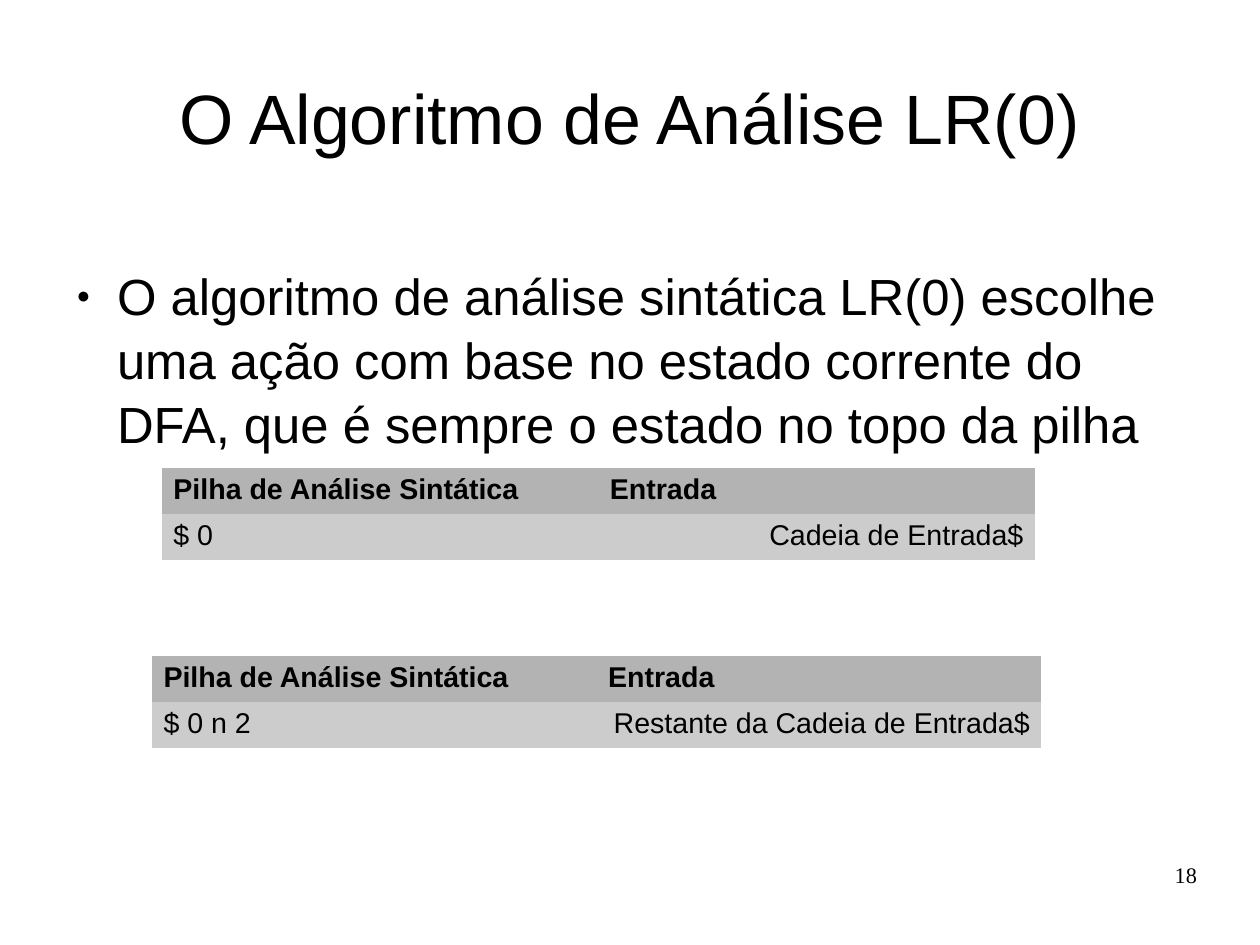
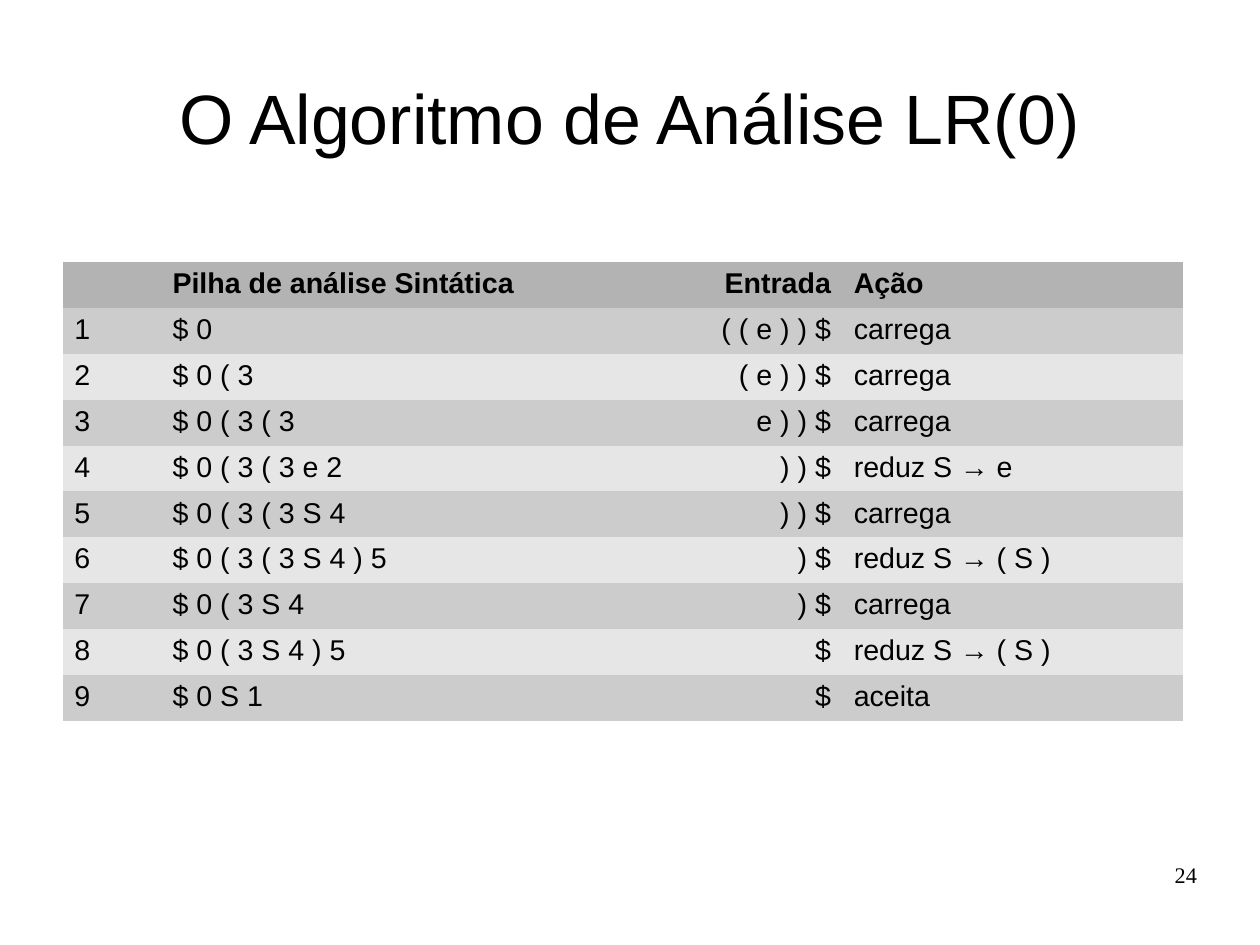
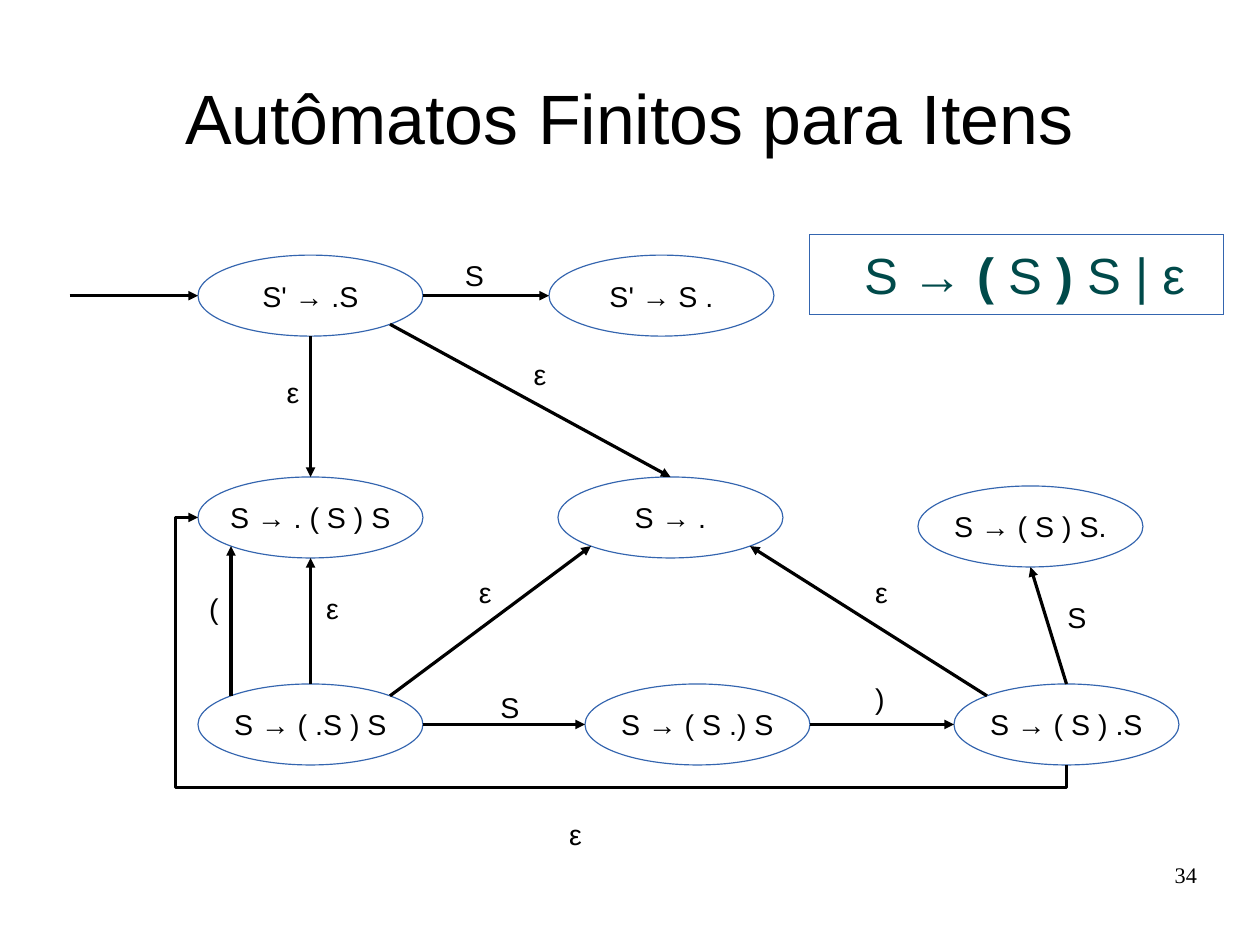
from math import cos, pi, sin

from lxml.etree import SubElement
from pptx import Presentation
from pptx.dml.color import RGBColor
from pptx.enum.shapes import MSO_CONNECTOR, MSO_SHAPE
from pptx.enum.text import MSO_ANCHOR, MSO_AUTO_SIZE, PP_ALIGN
from pptx.oxml.ns import qn
from pptx.util import Cm, Pt

BLACK = RGBColor(0x00, 0x00, 0x00)
WHITE = RGBColor(0xFF, 0xFF, 0xFF)
BLUE = RGBColor(0x34, 0x65, 0xAF)
TEAL = RGBColor(0x00, 0x4A, 0x4A)
HEADER_GREY = RGBColor(0xB3, 0xB3, 0xB3)
BAND_GREYS = (RGBColor(0xCC, 0xCC, 0xCC), RGBColor(0xE6, 0xE6, 0xE6))

PLAIN_TABLE_STYLE = "{2D5ABB26-0587-4C30-8999-92F81FD0307C}"
TITLE_AND_BODY, TITLE_ONLY = 1, 5
TOP, TOP_LEFT, LEFT, BOTTOM_LEFT, BOTTOM, BOTTOM_RIGHT, RIGHT, TOP_RIGHT = range(8)
STATE_WIDTH, STATE_HEIGHT = 5, 1.8
ELBOW_GAP = 0.5

LR_TITLE = "O Algoritmo de Análise LR(0)"
STACK_HEADER = ("Pilha de Análise Sintática", "Entrada")
STEPS = (
    ("", "Pilha de análise Sintática", "Entrada", "Ação"),
    ("1", "$ 0", "( ( e ) ) $", "carrega"),
    ("2", "$ 0 ( 3", "( e ) ) $", "carrega"),
    ("3", "$ 0 ( 3 ( 3", "e ) ) $", "carrega"),
    ("4", "$ 0 ( 3 ( 3 e 2", ") ) $", "reduz S → e"),
    ("5", "$ 0 ( 3 ( 3 S 4", ") ) $", "carrega"),
    ("6", "$ 0 ( 3 ( 3 S 4 ) 5", ") $", "reduz S → ( S )"),
    ("7", "$ 0 ( 3 S 4", ") $", "carrega"),
    ("8", "$ 0 ( 3 S 4 ) 5", "$", "reduz S → ( S )"),
    ("9", "$ 0 S 1", "$", "aceita"),
)

START, ACCEPT = "S' → .S", "S' → S ."
OPEN, EMPTY, DONE = "S → . ( S ) S", "S → .", "S → ( S ) S."
INSIDE, CLOSING, AFTER = "S → ( .S ) S", "S → ( S .) S", "S → ( S ) .S"
STATES = {
    START: (4.4, 5.67),
    ACCEPT: (12.2, 5.67),
    OPEN: (4.4, 10.6),
    EMPTY: (12.4, 10.6),
    DONE: (20.4, 10.8),
    INSIDE: (4.4, 15.2),
    CLOSING: (13, 15.2),
    AFTER: (21.2, 15.2),
}
TRANSITIONS = (
    (START, RIGHT, ACCEPT, LEFT),
    (START, BOTTOM, OPEN, TOP),
    (START, BOTTOM_RIGHT, EMPTY, TOP),
    (AFTER, TOP, DONE, BOTTOM),
    (AFTER, TOP_LEFT, EMPTY, BOTTOM_RIGHT),
    (INSIDE, TOP_RIGHT, EMPTY, BOTTOM_LEFT),
    (INSIDE, RIGHT, CLOSING, LEFT),
    (CLOSING, RIGHT, AFTER, LEFT),
    (INSIDE, TOP, OPEN, BOTTOM),
    (INSIDE, TOP_LEFT, OPEN, BOTTOM_LEFT),
)
LABELS = (
    ("S", 10.08, 5.61),
    ("ε", 6.12, 8.2),
    ("ε", 11.61, 7.8),
    ("ε", 19.2, 12.65),
    ("ε", 7, 13),
    ("ε", 10.39, 12.65),
    ("ε", 12.4, 18.03),
    ("S", 23.47, 13.2),
    ("S", 10.87, 15.2),
    ("(", 4.4, 13),
    (")", 19.2, 15),
)


def style(para, size, color=BLACK, name="Arial", bold=False):
    """Set the font shared by all runs of a paragraph."""
    para.font.size = Pt(size)
    para.font.name = name
    para.font.bold = bold
    para.font.color.rgb = color


def place(shape, left, top, width, height):
    """Move and size a placeholder, in centimetres, without insets."""
    shape.left, shape.top = Cm(left), Cm(top)
    shape.width, shape.height = Cm(width), Cm(height)
    frame = shape.text_frame
    frame.margin_left = frame.margin_right = frame.margin_top = frame.margin_bottom = 0
    frame.auto_size = MSO_AUTO_SIZE.NONE
    return frame


def add_text(page, text, left, top, width, height):
    """Add a text box and return its frame and paragraph."""
    frame = page.shapes.add_textbox(Cm(left), Cm(top), Cm(width), Cm(height)).text_frame
    frame.word_wrap = True
    frame.text = text
    return frame, frame.paragraphs[0]


def add_page(deck, layout, title, number):
    """Add a slide with its title and page number."""
    page = deck.slides.add_slide(deck.slide_layouts[layout])
    frame = place(page.shapes.title, 1.4, 0.84, 25.2, 3.5)
    frame.vertical_anchor = MSO_ANCHOR.MIDDLE
    frame.text = title
    para = frame.paragraphs[0]
    para.alignment = PP_ALIGN.CENTER
    style(para, 44)
    frame, para = add_text(page, number, 20.07, 19.13, 6.53, 1.45)
    frame.margin_right = frame.margin_top = 0
    para.alignment = PP_ALIGN.RIGHT
    style(para, 14, name="Times New Roman")
    return page


def format_body(para, color=BLACK, bullet=False):
    """Give a body paragraph its indent, bullet, spacing and font."""
    properties = para._p.get_or_add_pPr()
    properties.set("marL", str(Cm(1.2)))
    properties.set("indent", str(Cm(-0.9) if bullet else 0))
    if bullet:
        SubElement(properties, qn("a:buSzPct"), val="45000")
        SubElement(properties, qn("a:buFont"), typeface="Arial")
        SubElement(properties, qn("a:buChar"), char="●")
        para.line_spacing = 1.05
    else:
        SubElement(properties, qn("a:buNone"))
    para.space_before = Pt(0)
    para.space_after = Pt(14.2)
    style(para, 32, color)


def add_grid(page, rows, left, top, widths, row_height, right_cells):
    """Add a banded table; right_cells tells which cells align right."""
    shape = page.shapes.add_table(
        len(rows), len(widths), Cm(left), Cm(top), Cm(sum(widths)), Cm(row_height * len(rows))
    )
    table = shape.table
    table._tbl.tblPr.find(qn("a:tableStyleId")).text = PLAIN_TABLE_STYLE
    for column, width in zip(table.columns, widths):
        column.width = Cm(width)
    for row_index, row in enumerate(rows):
        table.rows[row_index].height = Cm(row_height)
        for column_index, text in enumerate(row):
            cell = table.cell(row_index, column_index)
            cell.fill.solid()
            cell.fill.fore_color.rgb = BAND_GREYS[(row_index - 1) % 2] if row_index else HEADER_GREY
            cell.text = text
            para = cell.text_frame.paragraphs[0]
            if right_cells(row_index, column_index):
                para.alignment = PP_ALIGN.RIGHT
            style(para, 18, bold=row_index == 0)


def add_state(page, text):
    """Add an automaton state as an ellipse."""
    left, top = STATES[text]
    state = page.shapes.add_shape(
        MSO_SHAPE.OVAL, Cm(left), Cm(top), Cm(STATE_WIDTH), Cm(STATE_HEIGHT)
    )
    state.shadow.inherit = False
    state.fill.solid()
    state.fill.fore_color.rgb = WHITE
    state.line.color.rgb = BLUE
    state.line.width = Pt(0)
    frame = state.text_frame
    frame.word_wrap = False
    frame.vertical_anchor = MSO_ANCHOR.MIDDLE
    frame.text = text
    para = frame.paragraphs[0]
    para.alignment = PP_ALIGN.CENTER
    style(para, 18)
    return state


def site_point(text, site):
    """Return where a connection site lies, counted anticlockwise from the top."""
    left, top = STATES[text]
    angle = site * pi / 4
    return (
        left + STATE_WIDTH / 2 * (1 - sin(angle)),
        top + STATE_HEIGHT / 2 * (1 - cos(angle)),
    )


def add_arrow(page, kind, start, end):
    """Add a hairline connector with an arrowhead at its end."""
    arrow = page.shapes.add_connector(kind, *(Cm(value) for value in (*start, *end)))
    arrow.line.color.rgb = BLACK
    arrow.line.width = Pt(0)
    properties = arrow.element.spPr
    SubElement(properties.find(qn("a:ln")), qn("a:tailEnd"), type="triangle")
    SubElement(properties, qn("a:effectLst"))
    return arrow


def glue(arrow, tag, state, site):
    """Attach one end of a connector to a state."""
    links = arrow.element.find(".//" + qn("p:cNvCxnSpPr"))
    SubElement(links, qn(tag), id=str(state.shape_id), idx=str(site))


def add_return_arrow(page, states):
    """Add the elbow arrow that runs below the states and back to the left."""
    right, low = site_point(AFTER, BOTTOM)
    left, high = site_point(OPEN, LEFT)
    span, rise = right - left, low - high
    center_x, center_y = (left + right) / 2, (low + high) / 2
    arrow = add_arrow(
        page,
        MSO_CONNECTOR.ELBOW,
        (center_x - rise / 2, center_y + span / 2),
        (center_x + rise / 2, center_y - span / 2),
    )
    properties = arrow.element.spPr
    properties.find(qn("a:xfrm")).set("rot", "16200000")
    geometry = properties.find(qn("a:prstGeom"))
    geometry.set("prst", "bentConnector4")
    guides = geometry.find(qn("a:avLst"))
    if guides is None:
        guides = SubElement(geometry, qn("a:avLst"))
    for name, ratio in (("adj1", -ELBOW_GAP / rise), ("adj2", 1 + ELBOW_GAP / span)):
        SubElement(guides, qn("a:gd"), name=name, fmla=f"val {round(ratio * 100000)}")
    glue(arrow, "a:stCxn", states[AFTER], BOTTOM)
    glue(arrow, "a:endCxn", states[OPEN], LEFT)


def add_grammar(page):
    """Put the grammar rule in the outlined body placeholder."""
    box = page.placeholders[1]
    frame = place(box, 18, 5.2, 9.2, 1.8)
    frame.vertical_anchor = MSO_ANCHOR.MIDDLE
    box.line.color.rgb = BLUE
    box.line.width = Pt(0)
    para = frame.paragraphs[0]
    format_body(para, TEAL)
    for text in ("S → ", "(", " S ", ")", " S | ε"):
        span = para.add_run()
        span.text = text
        span.font.bold = text in "()"


def build_stack_page(deck):
    """Build the slide with the two stack examples."""
    page = add_page(deck, TITLE_AND_BODY, LR_TITLE, "18")
    frame = place(page.placeholders[1], 1.4, 5.82, 24.64, 4)
    frame.text = (
        "O algoritmo de análise sintática LR(0) escolhe uma ação com base no estado "
        "corrente do DFA, que é sempre o estado no topo da pilha"
    )
    format_body(frame.paragraphs[0], bullet=True)
    examples = (
        (("$ 0", "Cadeia de Entrada$"), 3.6, 10.4, 9.7),
        (("$ 0 n 2", "Restante da Cadeia de Entrada$"), 3.38, 14.58, 9.88),
    )
    for row, left, top, width in examples:
        add_grid(
            page, (STACK_HEADER, row), left, top, (width, width), 0.97,
            lambda row_index, column_index: row_index == column_index == 1,
        )


def build_steps_page(deck):
    """Build the slide with the parsing steps."""
    page = add_page(deck, TITLE_ONLY, LR_TITLE, "24")
    add_grid(
        page, STEPS, 1.4, 5.82, (2.18, 8.41, 6.73, 7.57), 1.02,
        lambda row_index, column_index: column_index == 2,
    )


def build_automaton_page(deck):
    """Build the slide with the automaton of items."""
    page = add_page(deck, TITLE_AND_BODY, "Autômatos Finitos para Itens", "34")
    add_grammar(page)
    states = {text: add_state(page, text) for text in STATES}
    end = site_point(START, LEFT)
    entry = add_arrow(page, MSO_CONNECTOR.STRAIGHT, (1.55, end[1]), end)
    glue(entry, "a:endCxn", states[START], LEFT)
    for source, source_site, target, target_site in TRANSITIONS:
        arrow = add_arrow(
            page,
            MSO_CONNECTOR.STRAIGHT,
            site_point(source, source_site),
            site_point(target, target_site),
        )
        glue(arrow, "a:stCxn", states[source], source_site)
        glue(arrow, "a:endCxn", states[target], target_site)
    add_return_arrow(page, states)
    for text, left, top in LABELS:
        style(add_text(page, text, left, top, 0.95, 0.97)[1], 18)


def main():
    """Build and save the deck."""
    deck = Presentation()
    deck.slide_width, deck.slide_height = Cm(28), Cm(21)
    build_stack_page(deck)
    build_steps_page(deck)
    build_automaton_page(deck)
    deck.save("out.pptx")


if __name__ == "__main__":
    main()
